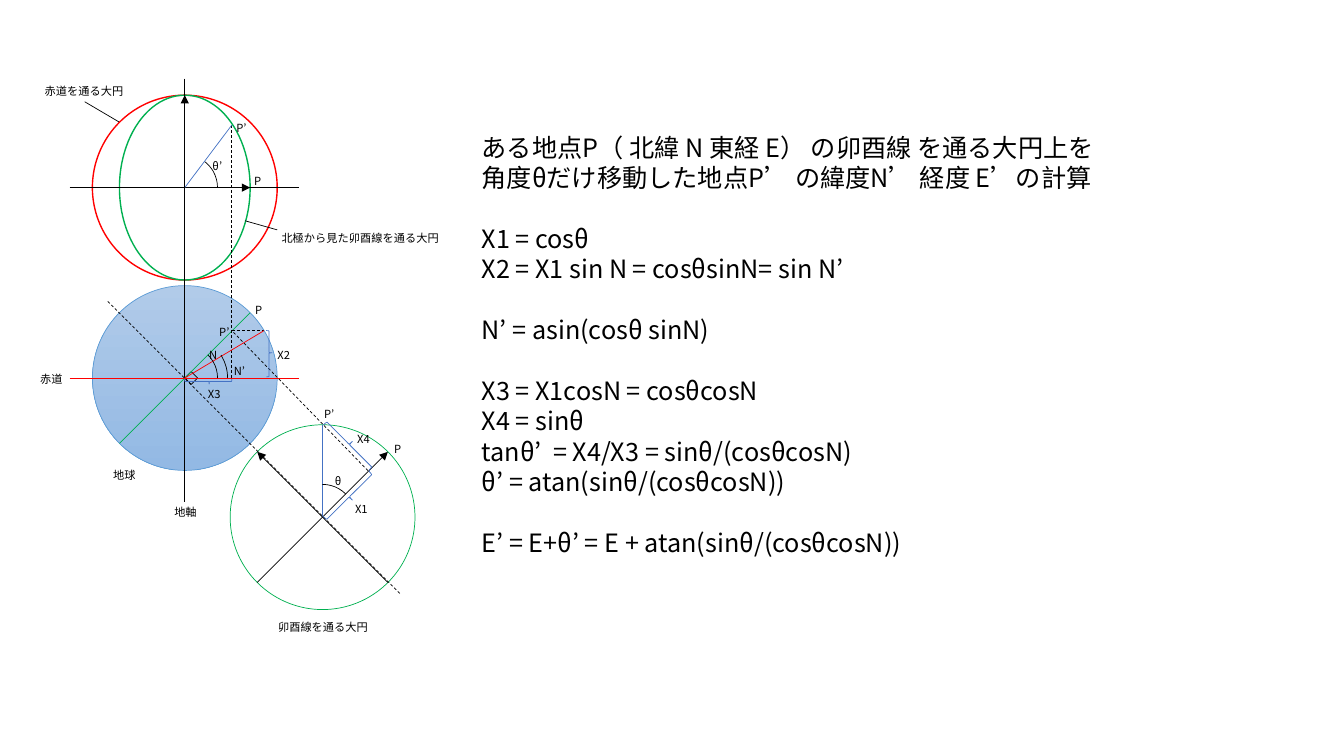
from dataclasses import dataclass
from math import sqrt
from lxml.etree import SubElement
from pptx import Presentation
from pptx.dml.color import RGBColor
from pptx.enum.dml import MSO_LINE as Dash
from pptx.enum.shapes import MSO_CONNECTOR as Connector, MSO_SHAPE as Shape
from pptx.enum.text import MSO_ANCHOR as Anchor, PP_ALIGN as Align
from pptx.oxml.ns import qn
from pptx.util import Pt


@dataclass(frozen=True)
class Theme:
    font: str = "Noto Sans CJK JP"
    black: str = "000000"
    red: str = "FF0000"
    green: str = "00B050"
    blue: str = "4472C4"
    earth_edge: str = "5B9BD5"
    earth_top: str = "B1CBE9"
    earth_bottom: str = "93B9E4"
    label: float = 8
    label_pitch: float = 10
    body: float = 18
    body_pitch: float = 21.7
    thin: float = 0.5
    bold: float = 1


THEME = Theme()

FORMULA_GROUPS = [
    ["ある地点P（ 北緯 N 東経 E） の卯酉線 を通る大円上を",
     "角度θだけ移動した地点P’ の緯度N’ 経度 E’の計算"],
    ["X1 = cosθ", "X2 = X1 sin N = cosθsinN= sin N’"],
    ["N’ = asin(cosθ sinN)"],
    ["X3 = X1cosN = cosθcosN", "X4 = sinθ",
     "tanθ’  = X4/X3 = sinθ/(cosθcosN)",
     "θ’ = atan(sinθ/(cosθcosN))"],
    ["E’ = E+θ’ = E + atan(sinθ/(cosθcosN))"],
]

LABELS = [
    ("N", 152.3, 253.4), ("N’", 171, 265), ("θ’", 155.2, 118.1),
    ("θ", 241.6, 343.4), ("X1", 258.1, 363.6), ("X4", 259.6, 313.2),
    ("X3", 153, 281.5), ("X2", 202.7, 253.4),
    ("P", 184.7, 221), ("P’", 235.1, 295.2), ("P’", 160.2, 236.9),
    ("P", 184, 128.9), ("P’", 172.4, 91.4), ("P", 284, 320.4),
    ("卯酉線を通る大円", 230.8, 447.8), ("赤道を通る大円", 60.1, 64.8),
    ("北極から見た卯酉線を通る大円", 257.4, 169.9),
    ("地球", 88.9, 339.1), ("赤道", 36.7, 270.7), ("地軸", 132.5, 365.8),
]

RADIUS = 66
DIAGONAL = RADIUS / sqrt(2)
AXIS_X, POLAR_Y, EARTH_Y = 132, 134, 270
VERTICAL_X, VERTICAL_Y = 230.4, 369.4
MOVED_X, MOVED_POLAR_Y, MOVED_EARTH_Y = 165.6, 89.3, 236.2
LATITUDE_X = 188.6
LEFT_END, RIGHT_END = 49.7, 213.8
AXIS_TOP, AXIS_BOTTOM = 56.2, 358.6

LINES = [
    (AXIS_X, AXIS_TOP, AXIS_X, AXIS_BOTTOM, THEME.black, ""),
    (AXIS_X - DIAGONAL, EARTH_Y + DIAGONAL, AXIS_X + DIAGONAL, EARTH_Y - DIAGONAL, THEME.green, ""),
    (LEFT_END, POLAR_Y, RIGHT_END, POLAR_Y, THEME.black, ""),
    (AXIS_X - DIAGONAL, POLAR_Y, AXIS_X + DIAGONAL, POLAR_Y, THEME.black, "arrow"),
    (77, 215.3, 286.6, 424.8, THEME.black, "dash"),
    (VERTICAL_X - DIAGONAL, VERTICAL_Y + DIAGONAL,
     VERTICAL_X + DIAGONAL, VERTICAL_Y - DIAGONAL, THEME.black, "arrow"),
    (VERTICAL_X, VERTICAL_Y, VERTICAL_X, VERTICAL_Y - RADIUS, THEME.blue, ""),
    (MOVED_X, EARTH_Y, MOVED_X, MOVED_POLAR_Y, THEME.black, "dash"),
    (AXIS_X, POLAR_Y, MOVED_X, MOVED_POLAR_Y, THEME.blue, ""),
    (MOVED_X, MOVED_EARTH_Y, LATITUDE_X, MOVED_EARTH_Y, THEME.black, "dash"),
    (AXIS_X, EARTH_Y, LATITUDE_X, MOVED_EARTH_Y, THEME.red, ""),
    (LEFT_END, EARTH_Y, RIGHT_END, EARTH_Y, THEME.red, ""),
    (262.8, 336.2, MOVED_X, MOVED_EARTH_Y, THEME.black, "dash"),
    (175, 157.7, 198, 164.2, THEME.black, ""),
    (60.5, 72.7, 85, 87.1, THEME.black, ""),
    (VERTICAL_X + DIAGONAL, VERTICAL_Y + DIAGONAL,
     VERTICAL_X - DIAGONAL, VERTICAL_Y - DIAGONAL, THEME.black, "arrow"),
    (AXIS_X, POLAR_Y + RADIUS, AXIS_X, POLAR_Y - RADIUS, THEME.black, "arrow"),
]

ARCS = [
    (AXIS_X, EARTH_Y, 23.4, 188.82, 0),
    (AXIS_X, EARTH_Y, 30.6, 196.7, 0),
    (AXIS_X, POLAR_Y, 23.4, 184.69, 0),
    (VERTICAL_X, VERTICAL_Y, 23.4, 161.8, 189.2),
]

BRACES = [
    (249.5, 355, 6.5, 46, 45, 0.5),
    (249.5, 317.5, 6.5, 46, 315, 0.5),
    (148.7, 272.5, 3.6, 33.8, 90, 0.48),
    (192.2, 252.7, 4.3, 33.1, 0, 0.48),
]

presentation = Presentation()
presentation.slide_width, presentation.slide_height = Pt(960), Pt(540)
slide = presentation.slides.add_slide(presentation.slide_layouts[6])


def add_outline(kind, x, y, width, height, color, weight=THEME.thin, rotation=0, adjustments=()):
    shape = slide.shapes.add_shape(kind, Pt(x - width / 2), Pt(y - height / 2), Pt(width), Pt(height))
    shape.shadow.inherit = False
    shape.fill.background()
    shape.line.color.rgb = RGBColor.from_string(color)
    shape.line.width = Pt(weight)
    shape.rotation = rotation
    for index, value in enumerate(adjustments):
        shape.adjustments[index] = value
    return shape


def add_line(x1, y1, x2, y2, color, style):
    connector = slide.shapes.add_connector(Connector.STRAIGHT, Pt(x1), Pt(y1), Pt(x2), Pt(y2))
    connector.line.color.rgb = RGBColor.from_string(color)
    connector.line.width = Pt(THEME.thin)
    if style == "dash":
        connector.line.dash_style = Dash.DASH
    properties = connector._element.spPr
    if style == "arrow":
        SubElement(properties.find(qn("a:ln")), qn("a:tailEnd"), type="triangle")
    SubElement(properties, qn("a:effectLst"))


def add_text_box(x, y, width, height):
    frame = slide.shapes.add_textbox(Pt(x), Pt(y), Pt(width), Pt(height)).text_frame
    frame.word_wrap = True
    return frame


def write(paragraph, text, size, pitch):
    paragraph.line_spacing = Pt(pitch)
    run = paragraph.add_run()
    run.text = text
    run.font.size = Pt(size)
    run.font.name = THEME.font
    run.font.color.rgb = RGBColor.from_string(THEME.black)
    SubElement(run._r.get_or_add_rPr(), qn("a:ea"), typeface=THEME.font)


earth = add_outline(Shape.OVAL, AXIS_X, EARTH_Y, 2 * RADIUS, 2 * RADIUS, THEME.earth_edge)
earth.fill.gradient()
earth.fill.gradient_angle = 270
for stop, color in zip(earth.fill.gradient_stops, (THEME.earth_top, THEME.earth_bottom)):
    stop.color.rgb = RGBColor.from_string(color)
for stop, position in zip(earth.fill.gradient_stops, (0, 1)):
    stop.position = position

add_outline(Shape.RECTANGLE, AXIS_X + 4.6, EARTH_Y, 6.5, 6.5, THEME.black, rotation=45)
add_outline(Shape.OVAL, AXIS_X, POLAR_Y, 2 * RADIUS, 2 * RADIUS, THEME.red, THEME.bold)
add_outline(Shape.OVAL, AXIS_X, POLAR_Y, 2 * DIAGONAL, 2 * RADIUS, THEME.green, THEME.bold)
add_outline(Shape.OVAL, VERTICAL_X, VERTICAL_Y, 2 * RADIUS, 2 * RADIUS, THEME.green)

for line in LINES:
    add_line(*line)
for x, y, radius, start, end in ARCS:
    add_outline(Shape.ARC, x, y, 2 * radius, 2 * radius, THEME.black, adjustments=(start, end))
for x, y, width, height, rotation, tip in BRACES:
    add_outline(Shape.RIGHT_BRACE, x, y, width, height, THEME.blue,
                rotation=rotation, adjustments=(0.08, tip))

for text, x, y in LABELS:
    width = 35 if len(text) <= 2 else 130
    frame = add_text_box(x - width / 2, y - 8.6, width, 17.2)
    frame.vertical_anchor = Anchor.MIDDLE
    frame.paragraphs[0].alignment = Align.CENTER
    write(frame.paragraphs[0], text, THEME.label, THEME.label_pitch)

frame = add_text_box(337, 90.7, 621.4, 312.5)
for group_index, group in enumerate(FORMULA_GROUPS):
    for line_index, text in enumerate(group):
        first = group_index == line_index == 0
        paragraph = frame.paragraphs[0] if first else frame.add_paragraph()
        if group_index and line_index == 0:
            paragraph.space_before = Pt(THEME.body_pitch)
        write(paragraph, text, THEME.body, THEME.body_pitch)

presentation.save("out.pptx")
